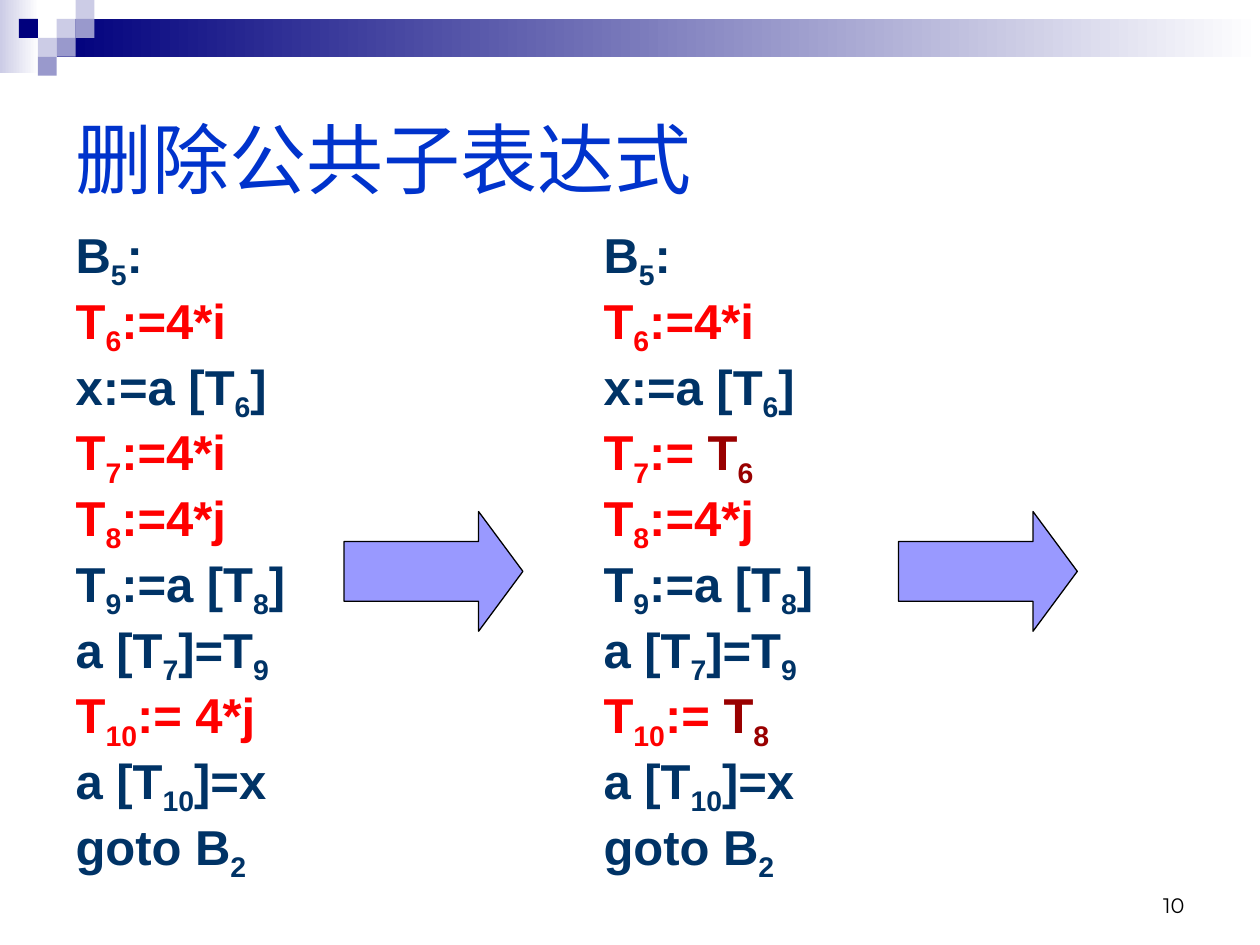
from pptx import Presentation
from pptx.dml.color import RGBColor
from pptx.enum.shapes import MSO_SHAPE
from pptx.enum.text import MSO_ANCHOR, MSO_AUTO_SIZE, PP_ALIGN
from pptx.oxml.ns import qn
from pptx.util import Pt

WHITE = RGBColor(0xFF, 0xFF, 0xFF)
BLACK = RGBColor(0x00, 0x00, 0x00)
TITLE_BLUE = RGBColor(0x00, 0x33, 0xCC)
CODE_BLUE = RGBColor(0x00, 0x33, 0x66)
RED = RGBColor(0xFF, 0x00, 0x00)
DARK_RED = RGBColor(0x99, 0x00, 0x00)
NAVY = RGBColor(0x00, 0x00, 0x7D)
LAVENDER = RGBColor(0xCC, 0xCC, 0xE6)
PURPLE = RGBColor(0x99, 0x99, 0xCC)
ARROW_FILL = RGBColor(0x99, 0x99, 0xFF)


def add_plain_shape(kind, left, top, width, height):
    shape = slide.shapes.add_shape(kind, Pt(left), Pt(top), Pt(width), Pt(height))
    shape.shadow.inherit = False
    shape.line.fill.background()
    return shape


def place(shape, left, top, width, height):
    shape.left, shape.top = Pt(left), Pt(top)
    shape.width, shape.height = Pt(width), Pt(height)


presentation = Presentation()
presentation.slide_width, presentation.slide_height = Pt(720), Pt(540)
slide = presentation.slides.add_slide(presentation.slide_layouts.get_by_name("Two Content"))

# Banner: two fading bars and a mosaic of small squares
for left, top, width, height, color in [
    (0, 0, 22.3, 41.8, LAVENDER),
    (32.4, 10.8, 687.6, 21.6, NAVY),
]:
    bar = add_plain_shape(MSO_SHAPE.RECTANGLE, left, top, width, height)
    bar.fill.gradient()
    bar.fill.gradient_angle = 0
    for stop, stop_color in zip(bar.fill.gradient_stops, (color, WHITE)):
        stop.color.rgb = stop_color

SQUARE = 10.8
for column, row, color in [
    (3, 1, LAVENDER), (4, 0, LAVENDER), (4, 1, PURPLE), (2, 2, LAVENDER),
    (1, 1, NAVY), (3, 2, PURPLE), (2, 3, PURPLE),
]:
    square = add_plain_shape(MSO_SHAPE.RECTANGLE, column * SQUARE, row * SQUARE, SQUARE, SQUARE)
    square.fill.solid()
    square.fill.fore_color.rgb = color

title = slide.shapes.title
place(title, 36, 36, 648, 108)
title.text_frame.text = "删除公共子表达式"
title.text_frame.vertical_anchor = MSO_ANCHOR.MIDDLE
title.text_frame.auto_size = MSO_AUTO_SIZE.NONE
paragraph = title.text_frame.paragraphs[0]
paragraph.alignment = PP_ALIGN.LEFT
font = paragraph.runs[0].font
font.name, font.size = "Arial", Pt(44)
font.color.rgb = TITLE_BLUE

# Underscores enclose subscripts; a bar starts the substituted operand
code_before = [
    ("B_5_:", CODE_BLUE),
    ("T_6_:=4*i", RED),
    ("x:=a [T_6_]", CODE_BLUE),
    ("T_7_:=4*i", RED),
    ("T_8_:=4*j", RED),
    ("T_9_:=a [T_8_]", CODE_BLUE),
    ("a [T_7_]=T_9_", CODE_BLUE),
    ("T_10_:= 4*j", RED),
    ("a [T_10_]=x", CODE_BLUE),
    ("goto B_2_", CODE_BLUE),
]
substitutions = {"T_7_:=4*i": "T_7_:= |T_6_", "T_10_:= 4*j": "T_10_:= |T_8_"}
code_after = [(substitutions.get(line, line), color) for line, color in code_before]

for index, left, code in [(1, 36, code_before), (2, 337.7, code_after)]:
    column = slide.placeholders[index]
    place(column, left, 128.2, 221.8, 374.4)
    text_frame = column.text_frame
    text_frame.auto_size = MSO_AUTO_SIZE.NONE
    for number, (line, line_color) in enumerate(code):
        paragraph = text_frame.add_paragraph() if number else text_frame.paragraphs[0]
        paragraph.line_spacing = 0.8
        paragraph.space_before = Pt(7)
        properties = paragraph._p.get_or_add_pPr()
        properties.set("marL", str(Pt(27)))
        properties.set("indent", str(-Pt(27)))
        properties.append(properties.makeelement(qn("a:buNone"), {}))
        for segment, color in zip(line.split("|"), (line_color, DARK_RED)):
            for position, piece in enumerate(segment.split("_")):
                if not piece:
                    continue
                run = paragraph.add_run()
                run.text = piece
                run.font.name, run.font.size, run.font.bold = "Arial", Pt(28), True
                run.font.color.rgb = color
                if position % 2:
                    run.font._element.set("baseline", "-25000")

for left in (196.6, 513.4):
    arrow = add_plain_shape(MSO_SHAPE.RIGHT_ARROW, left, 292.3, 102.2, 68.4)
    arrow.adjustments[0], arrow.adjustments[1] = 0.5, 0.37
    arrow.fill.solid()
    arrow.fill.fore_color.rgb = ARROW_FILL
    arrow.line.color.rgb = BLACK
    arrow.line.width = Pt(0.75)

page_number = slide.shapes.add_textbox(Pt(516.2), Pt(491.8), Pt(167.8), Pt(36))
page_number.text_frame.word_wrap = True
page_number.text_frame.vertical_anchor = MSO_ANCHOR.BOTTOM
page_number.text_frame.text = "10"
paragraph = page_number.text_frame.paragraphs[0]
paragraph.alignment = PP_ALIGN.RIGHT
font = paragraph.runs[0].font
font.name, font.size = "Montserrat", Pt(12)
font.color.rgb = BLACK

presentation.save("out.pptx")
